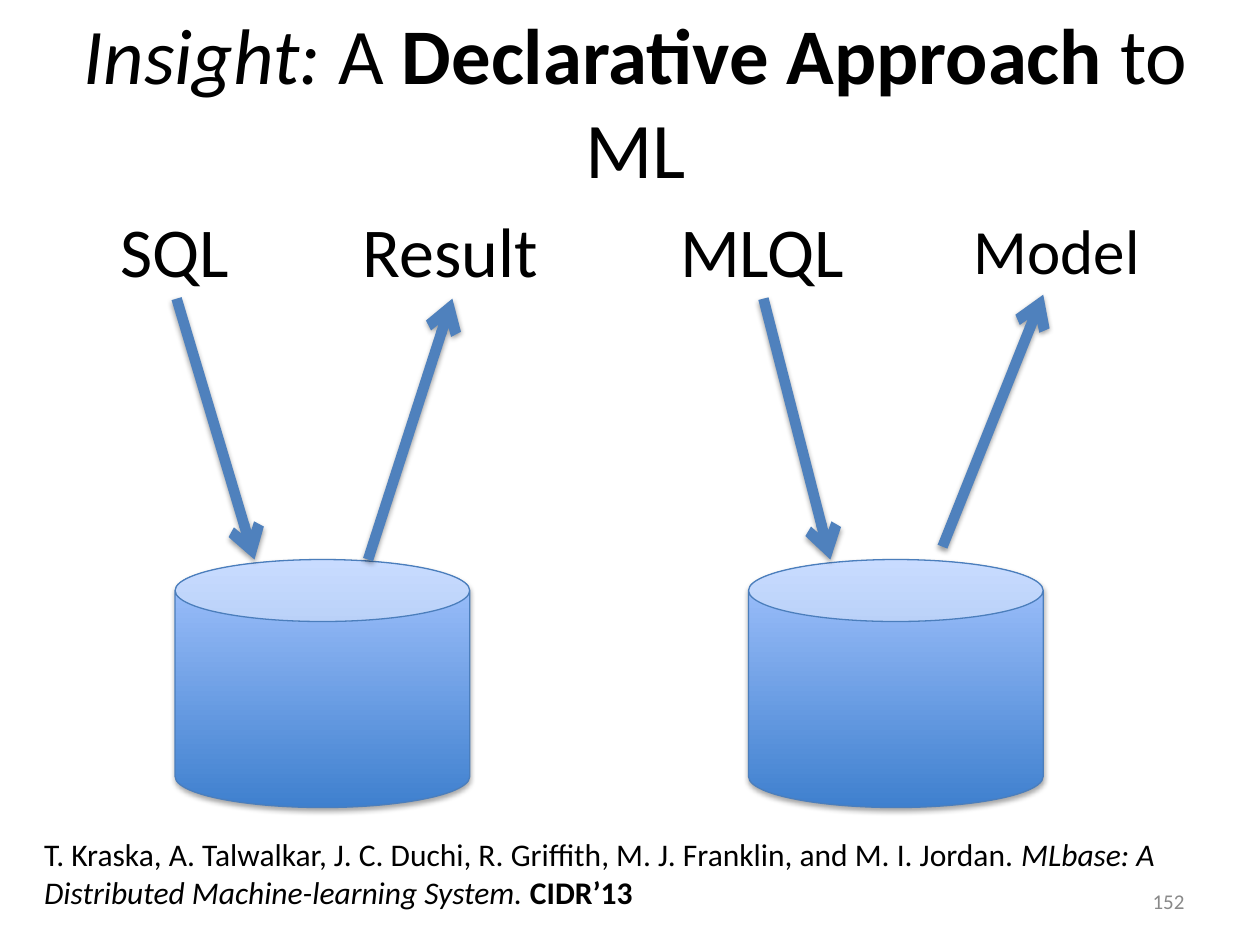
from lxml.etree import SubElement
from pptx import Presentation
from pptx.dml.color import RGBColor
from pptx.enum.shapes import MSO_CONNECTOR, MSO_SHAPE
from pptx.enum.text import MSO_ANCHOR, MSO_AUTO_SIZE, PP_ALIGN
from pptx.oxml.ns import qn
from pptx.util import Cm, Pt

FONT = "Calibri"
COLORS = {
    "text": "000000",
    "number": "898989",
    "arrow": "4F81BD",
    "can_line": "4B7EBC",
    "can_bottom": "3F80CE",
    "can_top": "A4C4FF",
    "shadow": "000000",
}

CAN_TOP, CAN_WIDTH, CAN_HEIGHT = 11.28, 5.94, 5.0

# Each system: labels (text, left, top, width, height, size),
# left edge of the database, and arrows (start, end)
SYSTEMS = [
    {
        "labels": [("SQL", 2.18, 4.06, 2.72, 1.96, 40),
                   ("Result", 7.06, 4.06, 4.11, 1.96, 40)],
        "can_left": 3.53,
        "arrows": [((3.56, 6.02), (5.13, CAN_TOP)),
                   ((7.42, CAN_TOP), (9.12, 6.02))],
    },
    {
        "labels": [("MLQL", 13.46, 4.06, 3.89, 1.96, 40),
                   ("Model", 19.38, 4.14, 3.89, 1.8, 36)],
        "can_left": 15.09,
        "arrows": [((15.39, 6.02), (16.74, CAN_TOP)),
                   ((19.0, 11.02), (21.03, 5.94))],
    },
]


def color(name):
    return RGBColor.from_string(COLORS[name])


def add_shadow(shape, distance, opacity):
    """Add a soft downward shadow; call after the line has been set."""
    effects = SubElement(shape._element.spPr, qn("a:effectLst"))
    shadow = SubElement(effects, qn("a:outerShdw"), blurRad=str(Pt(3.1)),
                        dist=str(Pt(distance)), dir="5400000", rotWithShape="0")
    shade = SubElement(shadow, qn("a:srgbClr"), val=COLORS["shadow"])
    SubElement(shade, qn("a:alpha"), val=str(opacity * 1000))


def add_text(slide, runs, left, top, width, height, size, align=PP_ALIGN.LEFT,
             anchor=MSO_ANCHOR.TOP, wrap=True, grow=False, text_color="text"):
    """Add a one-paragraph text box; runs are (text, style) pairs."""
    shape = slide.shapes.add_textbox(Cm(left), Cm(top), Cm(width), Cm(height))
    frame = shape.text_frame
    frame.word_wrap = wrap
    frame.vertical_anchor = anchor
    frame.auto_size = MSO_AUTO_SIZE.SHAPE_TO_FIT_TEXT if grow else MSO_AUTO_SIZE.NONE
    paragraph = frame.paragraphs[0]
    paragraph.alignment = align
    paragraph.font.name = FONT
    paragraph.font.size = Pt(size)
    paragraph.font.color.rgb = color(text_color)
    for text, style in runs:
        run = paragraph.add_run()
        run.text = text
        if style == "bold":
            run.font.bold = True
        elif style == "italic":
            run.font.italic = True


def add_database(slide, left):
    shape = slide.shapes.add_shape(MSO_SHAPE.CAN, Cm(left), Cm(CAN_TOP),
                                   Cm(CAN_WIDTH), Cm(CAN_HEIGHT))
    shape.fill.gradient()
    shape.fill.gradient_angle = 90
    for stop, position, name in zip(shape.fill.gradient_stops, (0, 1),
                                    ("can_bottom", "can_top")):
        stop.position = position
        stop.color.rgb = color(name)
    shape.line.color.rgb = color("can_line")
    shape.line.width = Pt(0.75)
    add_shadow(shape, 1.8, 35)


def add_arrow(slide, start, end):
    points = [Cm(value) for value in start + end]
    connector = slide.shapes.add_connector(MSO_CONNECTOR.STRAIGHT, *points)
    connector.line.color.rgb = color("arrow")
    connector.line.width = Pt(6)
    SubElement(connector.line._get_or_add_ln(), qn("a:tailEnd"), type="arrow")
    add_shadow(connector, 1.6, 38)


def add_system(slide, system):
    add_database(slide, system["can_left"])
    for start, end in system["arrows"]:
        add_arrow(slide, start, end)
    for text, *box in system["labels"]:
        add_text(slide, [(text, None)], *box, wrap=False, grow=True)


def main():
    presentation = Presentation()
    presentation.slide_width, presentation.slide_height = Cm(25.4), Cm(19.05)
    slide = presentation.slides.add_slide(presentation.slide_layouts[6])

    # Title
    add_text(slide, [("Insight:", "italic"), (" A ", None),
                     ("Declarative Approach", "bold"), (" to ML", None)],
             0.43, 0.43, 24.77, 3.18, 45, PP_ALIGN.CENTER, MSO_ANCHOR.MIDDLE)

    # Database and machine-learning systems side by side
    for system in SYSTEMS:
        add_system(slide, system)

    # Reference
    add_text(slide, [("T. Kraska, A. Talwalkar, J. C. Duchi, R. Griffith, "
                      "M. J. Franklin, and M. I. Jordan. ", None),
                     ("MLbase: A Distributed Machine-learning System. ", "italic"),
                     ("CIDR’13", "bold")],
             0.64, 16.71, 24.13, 1.8, 18, grow=True)

    # Slide number
    add_text(slide, [("152", None)], 18.21, 17.65, 5.92, 1.02, 12,
             PP_ALIGN.RIGHT, MSO_ANCHOR.MIDDLE, text_color="number")

    presentation.save("out.pptx")


if __name__ == "__main__":
    main()
